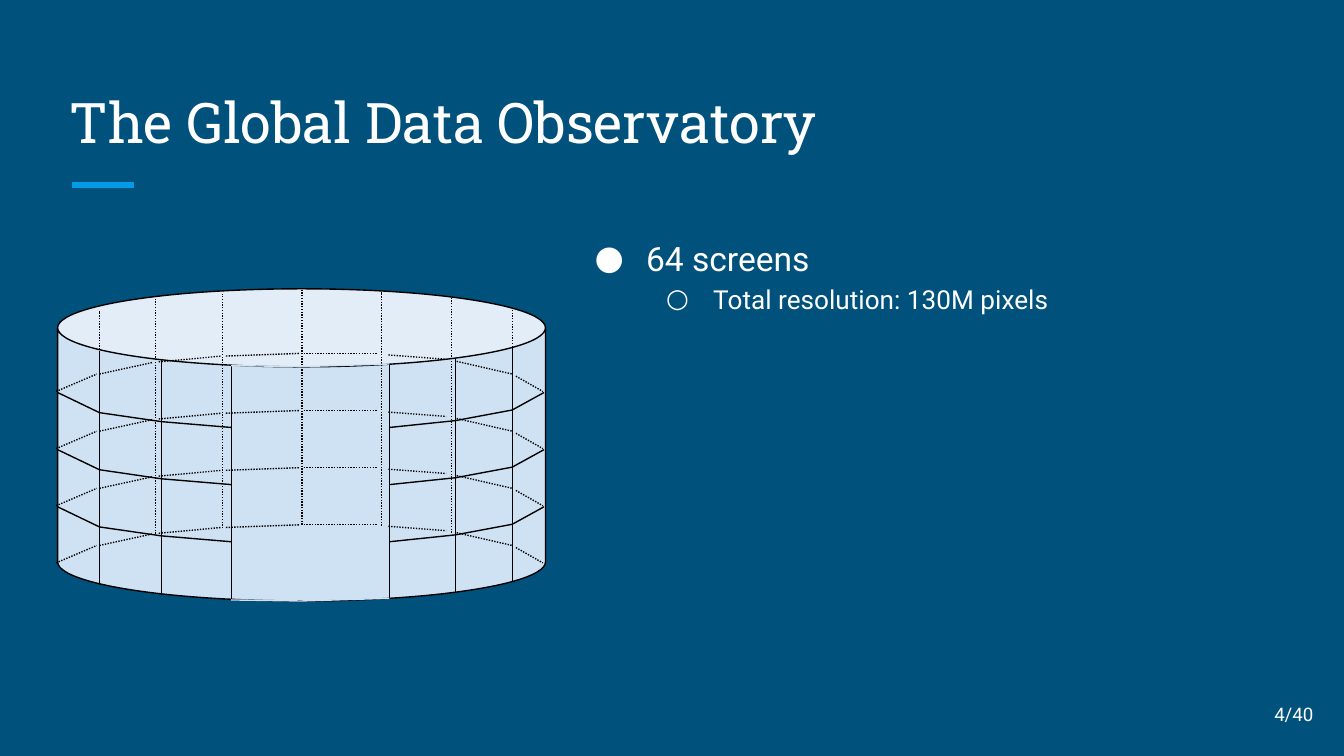
from itertools import pairwise

from lxml.etree import SubElement
from pptx import Presentation
from pptx.dml.color import RGBColor
from pptx.enum.dml import MSO_LINE
from pptx.enum.shapes import MSO_CONNECTOR, MSO_SHAPE
from pptx.enum.text import MSO_ANCHOR, PP_ALIGN
from pptx.oxml.ns import qn
from pptx.util import Cm, Pt

NAVY = "00517C"
ACCENT = "039BE5"
WHITE = "FFFFFF"
BLACK = "000000"
GLASS = "CFE2F3"

WALL_HEIGHT = 4.43
ROW_PITCH = 1.08

BACK_COLUMNS = [(6.12, 0.05), (4.62, 0.03), (3.12, 0.1), (7.44, 0.18),
                (8.59, 0.36), (1.85, 0.2), (0.79, 0.41)]
BACK_EDGES = [
    ((-0.03, 1.94), (0.74, 1.61)), ((0.79, 1.61), (1.8, 1.39)),
    ((1.91, 1.38), (3.1, 1.27)), ((3.18, 1.27), (4.57, 1.22)),
    ((4.65, 1.22), (6.05, 1.22)), ((6.25, 1.25), (7.34, 1.33)),
    ((7.54, 1.37), (8.59, 1.61)), ((8.66, 1.65), (9.17, 1.94)),
]
FRONT_COLUMNS = [(3.28, 1.45), (6.27, 1.42), (1.96, 1.35),
                 (0.79, 1.17), (7.52, 1.3), (8.59, 1.09)]
FRONT_LEFT = [(0, 1.96), (0.79, 2.34), (1.96, 2.51), (3.28, 2.62)]
FRONT_RIGHT = [(6.27, 2.62), (7.52, 2.49), (8.59, 2.29), (9.19, 1.96)]
DOORWAY = [(3.28, 1.45), (4.6, 1.47), (6.27, 1.42)]


def color(value):
    return RGBColor.from_string(value)


def add_line(shapes, start, end, stroke=BLACK, width=0.75, dash=None):
    connector = shapes.add_connector(
        MSO_CONNECTOR.STRAIGHT, *(Cm(value) for value in (*start, *end)))
    connector.line.color.rgb = color(stroke)
    connector.line.width = Pt(width)
    if dash:
        connector.line.dash_style = dash
    SubElement(connector._element.spPr, qn("a:effectLst"))


def format_text(paragraph, size, font):
    for run in paragraph.runs:
        run.font.size = Pt(size)
        run.font.name = font
        run.font.color.rgb = color(WHITE)


def add_text_frame(slide, box, anchor):
    text_frame = slide.shapes.add_textbox(*map(Cm, box)).text_frame
    text_frame.word_wrap = True
    text_frame.vertical_anchor = anchor
    for side in ("left", "top", "right", "bottom"):
        setattr(text_frame, f"margin_{side}", Cm(0.25))
    return text_frame


def add_title(slide, left, top, width, height):
    text_frame = add_text_frame(slide, (left, top, width, height), MSO_ANCHOR.BOTTOM)
    text_frame.text = "The Global Data Observatory"
    format_text(text_frame.paragraphs[0], 30, "Roboto Slab")
    rule_left, rule_top = left + 0.3, top + height + 0.33
    add_line(slide.shapes, (rule_left, rule_top), (rule_left + 1.17, rule_top), ACCENT, 3)


def add_bullet(paragraph, symbol, margin, hanging):
    properties = paragraph._p.get_or_add_pPr()
    properties.set("marL", str(Cm(margin)))
    properties.set("indent", str(-Cm(hanging)))
    bullet_color = SubElement(properties, qn("a:buClr"))
    SubElement(bullet_color, qn("a:srgbClr"), val=WHITE)
    SubElement(properties, qn("a:buFont"), typeface="Roboto")
    SubElement(properties, qn("a:buChar"), char=symbol)


def add_facts(slide, left, top, width, height):
    text_frame = add_text_frame(slide, (left, top, width, height), MSO_ANCHOR.TOP)
    text_frame.text = "64 screens\nTotal resolution: 130M pixels"
    styles = [(18, "●", 0.97), (14, "○", 0.89)]
    for level, (size, symbol, hanging) in enumerate(styles):
        paragraph = text_frame.paragraphs[level]
        paragraph.level = level
        paragraph.line_spacing = 1.15
        add_bullet(paragraph, symbol, 1.27 * (level + 1), hanging)
        format_text(paragraph, size, "Roboto")


def add_observatory(slide, left, top, width, height):
    shapes = slide.shapes.add_group_shape().shapes
    cylinder = shapes.add_shape(
        MSO_SHAPE.CAN, Cm(left), Cm(top), Cm(width), Cm(height))
    cylinder.adjustments[0] = 0.25
    cylinder.shadow.inherit = False
    cylinder.fill.solid()
    cylinder.fill.fore_color.rgb = color(GLASS)
    cylinder.line.color.rgb = color(BLACK)
    cylinder.line.width = Pt(0.75)

    def draw(start, end, drop=0, **style):
        add_line(shapes, *((left + x, top + y + drop) for x, y in (start, end)), **style)

    for x, y in BACK_COLUMNS:
        draw((x, y + WALL_HEIGHT), (x, y), dash=MSO_LINE.ROUND_DOT)
    for row in range(4):
        for start, end in BACK_EDGES:
            draw(start, end, row * ROW_PITCH, dash=MSO_LINE.ROUND_DOT)
    for row in range(3):
        for edge in (FRONT_LEFT, FRONT_RIGHT):
            for start, end in pairwise(edge):
                draw(start, end, row * ROW_PITCH)
    for x, y in FRONT_COLUMNS:
        draw((x, y), (x, y + WALL_HEIGHT))
    for drop in (0, WALL_HEIGHT):
        for start, end in pairwise(DOORWAY):
            draw(start, end, drop, stroke=GLASS)


def add_page_number(slide, left, top, width, height):
    text_frame = add_text_frame(slide, (left, top, width, height), MSO_ANCHOR.MIDDLE)
    text_frame.text = "4/40"
    paragraph = text_frame.paragraphs[0]
    paragraph.alignment = PP_ALIGN.RIGHT
    format_text(paragraph, 10, "Roboto")


def main():
    presentation = Presentation()
    presentation.slide_width = Cm(25.4)
    presentation.slide_height = Cm(14.29)
    slide = presentation.slides.add_slide(presentation.slide_layouts[6])
    slide.background.fill.solid()
    slide.background.fill.fore_color.rgb = color(NAVY)
    add_title(slide, 1.07, 1.27, 23.24, 1.9)
    add_facts(slide, 10.69, 4.14, 13.64, 2.26)
    add_observatory(slide, 1.09, 5.46, 9.22, 5.9)
    add_page_number(slide, 23.55, 12.95, 1.52, 1.09)
    presentation.save("out.pptx")


if __name__ == "__main__":
    main()
